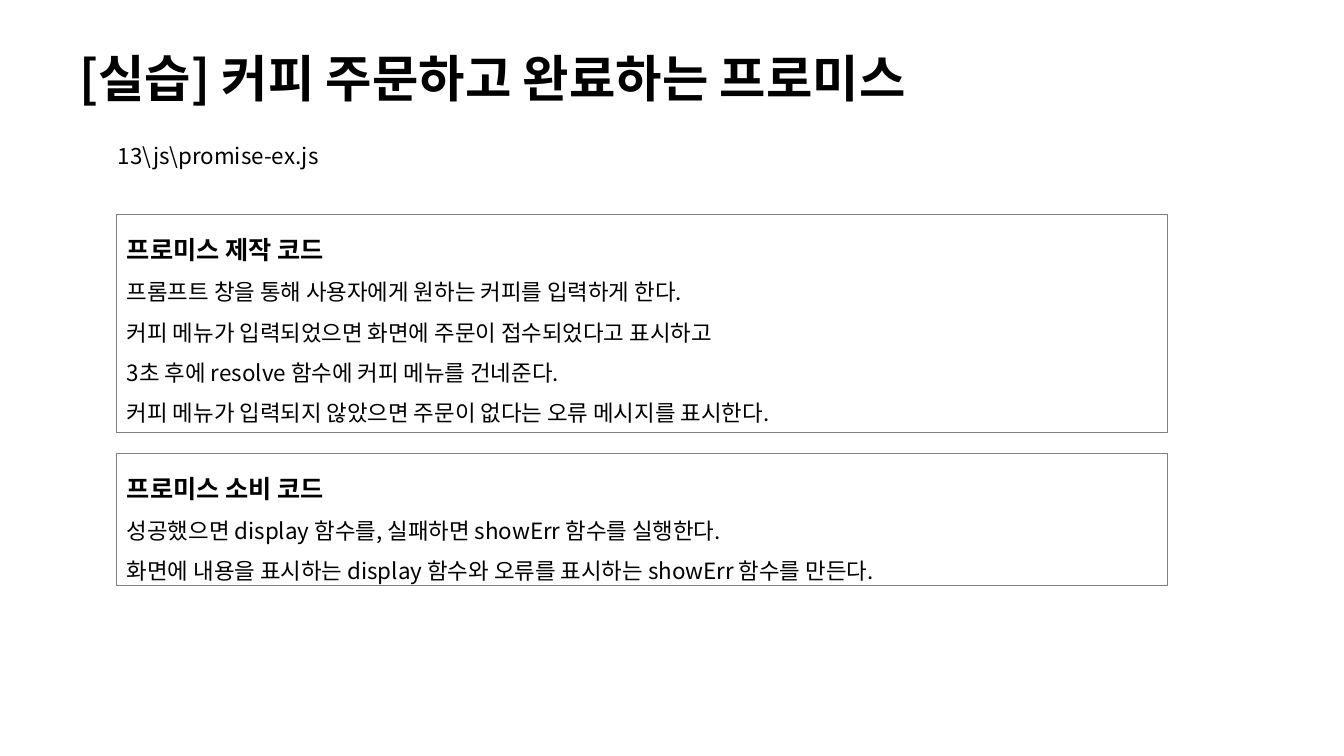
from dataclasses import dataclass

from lxml import etree
from pptx import Presentation
from pptx.dml.color import RGBColor
from pptx.enum.shapes import MSO_SHAPE
from pptx.enum.text import MSO_ANCHOR, MSO_AUTO_SIZE, PP_ALIGN
from pptx.oxml.ns import qn
from pptx.util import Inches, Pt

RECT = MSO_SHAPE.RECTANGLE
TOP, MIDDLE = MSO_ANCHOR.TOP, MSO_ANCHOR.MIDDLE
GROW, FIXED = MSO_AUTO_SIZE.SHAPE_TO_FIT_TEXT, MSO_AUTO_SIZE.NONE
LEFT = PP_ALIGN.LEFT


@dataclass(frozen=True)
class Theme:
    """Colours, font and type sizes of the slide."""
    font: str = "Noto Sans CJK KR"
    ink: RGBColor = RGBColor(0, 0, 0)
    border: RGBColor = RGBColor(0x80, 0x80, 0x80)
    border_width: Pt = Pt(0.75)
    title: Pt = Pt(36)
    heading: Pt = Pt(18)
    body: Pt = Pt(16)


THEME = Theme()
TITLE = "[실습] 커피 주문하고 완료하는 프로미스"
FILE_NAME = "13\\js\\promise-ex.js"
PRODUCER = (
    "프로미스 제작 코드",
    "프롬프트 창을 통해 사용자에게 원하는 커피를 입력하게 한다.",
    "커피 메뉴가 입력되었으면 화면에 주문이 접수되었다고 표시하고",
    "3초 후에 resolve 함수에 커피 메뉴를 건네준다.",
    "커피 메뉴가 입력되지 않았으면 주문이 없다는 오류 메시지를 표시한다.",
)
CONSUMER = (
    "프로미스 소비 코드",
    "성공했으면 display 함수를, 실패하면 showErr 함수를 실행한다.",
    "화면에 내용을 표시하는 display 함수와 오류를 표시하는 showErr 함수를 만든다.",
)


def set_format(target, values):
    """Set each attribute named in values on target."""
    for name, value in values.items():
        setattr(target, name, value)


def write_lines(sp, lines, spacing=1.0, anchor=TOP, fit=GROW):
    """Write (text, size, bold) lines, one paragraph each."""
    tf = sp.text_frame
    set_format(tf, {"word_wrap": True, "auto_size": fit, "vertical_anchor": anchor})
    for i, (text, size, bold) in enumerate(lines):
        p = tf.add_paragraph() if i else tf.paragraphs[0]
        set_format(p, {"alignment": LEFT, "line_spacing": spacing})
        r = p.add_run()
        r.text = text
        set_format(r.font, {"name": THEME.font, "size": size, "bold": bold})
        r.font.color.rgb = THEME.ink
        latin = r.font._element.find(qn("a:latin"))
        ea = etree.Element(qn("a:ea"), typeface=THEME.font)
        latin.addnext(ea)


def add_title(s, box):
    """Place the slide title in box."""
    sp = s.shapes.add_textbox(*map(Inches, box))
    write_lines(sp, [(TITLE, THEME.title, True)], 0.9, MIDDLE, FIXED)


def add_file_name(s, box):
    """Place the name of the exercise file in box."""
    sp = s.shapes.add_textbox(*map(Inches, box))
    write_lines(sp, [(FILE_NAME, THEME.body, False)])


def add_code_panel(s, box, texts):
    """Place a bordered panel with a bold heading and its steps in box."""
    sp = s.shapes.add_shape(RECT, *map(Inches, box))
    sp.shadow.inherit = False
    sp.fill.background()
    sp.line.color.rgb = THEME.border
    sp.line.width = THEME.border_width
    heading, *steps = texts
    lines = [(heading, THEME.heading, True)]
    lines += [(step, THEME.body, False) for step in steps]
    write_lines(sp, lines, 1.5)


def build_exercise_slide(prs):
    """Add the promise exercise slide."""
    s = prs.slides.add_slide(prs.slide_layouts[6])
    add_title(s, (0.69, 0.35, 9.74, 0.92))
    add_file_name(s, (1.07, 1.36, 6.85, 0.37))
    top, gap = 2.13, 0.21
    for texts, height in ((PRODUCER, 2.16), (CONSUMER, 1.31)):
        add_code_panel(s, (1.16, top, 10.42, height), texts)
        top += height + gap


def main():
    """Build and save the presentation."""
    prs = Presentation()
    set_format(prs, {"slide_width": Inches(13.33), "slide_height": Inches(7.5)})
    build_exercise_slide(prs)
    prs.save("out.pptx")


main()
